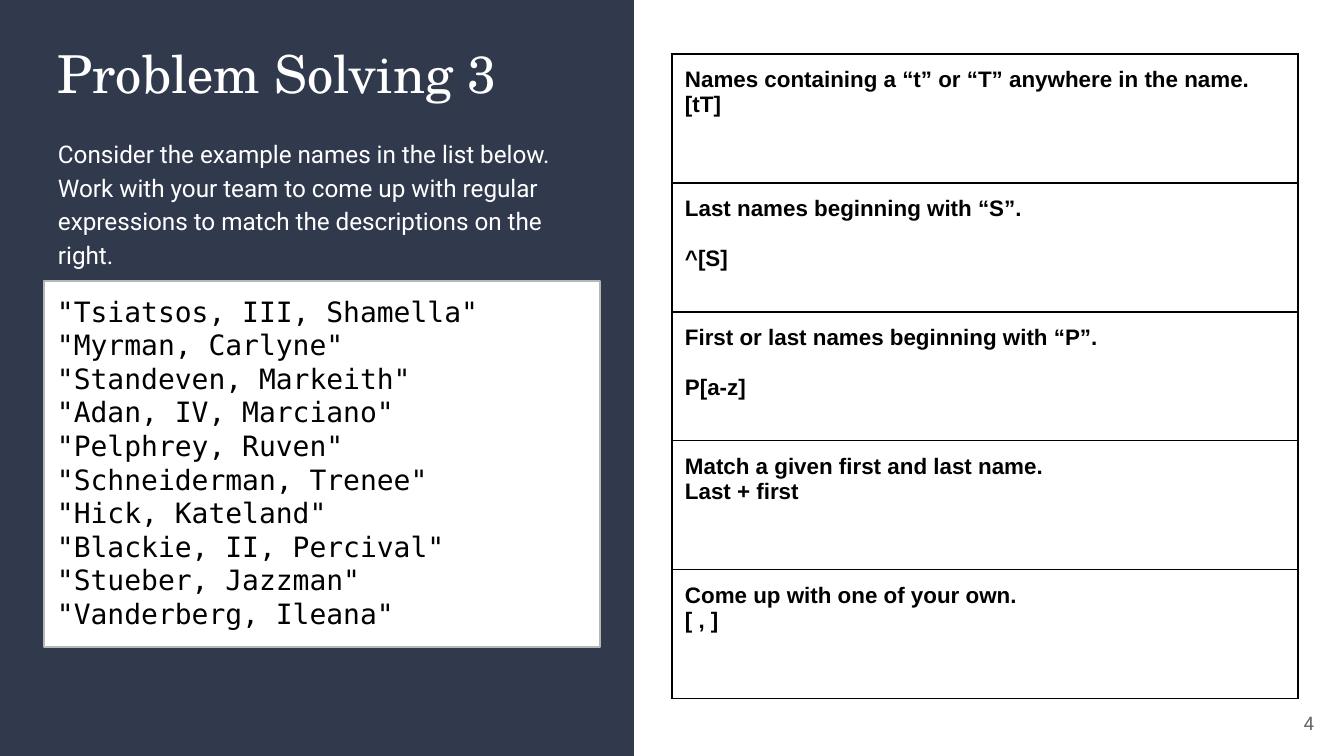
from lxml.etree import SubElement
from pptx import Presentation
from pptx.dml.color import RGBColor
from pptx.enum.shapes import MSO_SHAPE
from pptx.enum.text import MSO_ANCHOR, PP_ALIGN
from pptx.oxml.ns import qn
from pptx.util import Emu, Pt

EMU_PER_PX = 914400 / 134.4
INSET = 13
COLORS = {
    "navy": "31394D",
    "white": "FFFFFF",
    "black": "000000",
    "edge": "B7B7B7",
    "grey": "666666",
}
TITLE = {"name": "TeX Gyre Schola", "size": Pt(28), "color": "white"}
BODY = {"name": "Roboto", "size": Pt(13), "color": "white"}
CODE = {"name": "DejaVu Sans Mono", "size": Pt(15), "color": "black"}
TASK = {"name": "Arial", "size": Pt(12), "bold": True, "color": "black"}
NUMBER = {"name": "Roboto", "size": Pt(10), "color": "grey"}

INTRO = (
    "Consider the example names in the list below. Work with your team to come up "
    "with regular expressions to match the descriptions on the right."
)
NAMES = [
    "Tsiatsos, III, Shamella",
    "Myrman, Carlyne",
    "Standeven, Markeith",
    "Adan, IV, Marciano",
    "Pelphrey, Ruven",
    "Schneiderman, Trenee",
    "Hick, Kateland",
    "Blackie, II, Percival",
    "Stueber, Jazzman",
    "Vanderberg, Ileana",
]
# Description, answer, points of space between them
TASKS = [
    ("Names containing a “t” or “T” anywhere in the name.", "[tT]", 0),
    ("Last names beginning with “S”.", "^[S]", 13.4),
    ("First or last names beginning with “P”.", "P[a-z]", 13.4),
    ("Match a given first and last name.", "Last + first", 0),
    ("Come up with one of your own.", "[ , ]", 0),
]


def px(length):
    return Emu(round(length * EMU_PER_PX))


def color(name):
    return RGBColor.from_string(COLORS[name])


def set_insets(holder):
    for side in ("left", "top", "right", "bottom"):
        setattr(holder, f"margin_{side}", px(INSET))


def write_lines(frame, lines, text_format, **para_format):
    for index, line in enumerate(lines):
        para = frame.paragraphs[0] if index == 0 else frame.add_paragraph()
        for key, value in {"alignment": PP_ALIGN.LEFT, **para_format}.items():
            setattr(para, key, value)
        span = para.add_run()
        span.text = line
        for key, value in text_format.items():
            if key == "color":
                span.font.color.rgb = color(value)
            else:
                setattr(span.font, key, value)


def add_text(page, box, lines, text_format, anchor=MSO_ANCHOR.TOP, **para_format):
    frame = page.shapes.add_textbox(*map(px, box)).text_frame
    frame.word_wrap = True
    frame.vertical_anchor = anchor
    set_insets(frame)
    write_lines(frame, lines, text_format, **para_format)


def add_panel(page, box, fill, edge=None):
    panel = page.shapes.add_shape(MSO_SHAPE.RECTANGLE, *map(px, box))
    panel.shadow.inherit = False
    panel.fill.solid()
    panel.fill.fore_color.rgb = color(fill)
    if edge:
        panel.line.color.rgb = color(edge)
        panel.line.width = Pt(0.75)
    else:
        panel.line.fill.background()
    return panel


def add_name_list(page, box):
    frame = add_panel(page, box, "white", "edge").text_frame
    frame.word_wrap = True
    frame.vertical_anchor = MSO_ANCHOR.TOP
    set_insets(frame)
    write_lines(frame, [f'"{name}"' for name in NAMES], CODE)


def add_brief(page, box):
    left, top, width, height = box
    add_panel(page, box, "navy")
    text_left, text_width = left + 45, width - 90
    add_text(page, (text_left, top + 28, text_width, 94), ["Problem Solving 3"], TITLE)
    add_text(page, (text_left, top + 122, text_width, 144), [INTRO], BODY,
             line_spacing=1.15)
    add_name_list(page, (left + 44, top + 281, 556, 366))


def add_borders(cell):
    properties = cell._tc.get_or_add_tcPr()
    for side in ("lnL", "lnR", "lnT", "lnB"):
        line = SubElement(properties, qn(f"a:{side}"), w=str(Pt(0.75)))
        fill = SubElement(line, qn("a:solidFill"))
        SubElement(fill, qn("a:srgbClr"), val=COLORS["black"])


def add_task_table(page, box):
    table = page.shapes.add_table(len(TASKS), 1, *map(px, box)).table
    table.first_row = table.horz_banding = False
    for row, (description, answer, gap) in zip(table.rows, TASKS):
        row.height = px(box[3] / len(TASKS))
        cell = row.cells[0]
        set_insets(cell)
        add_borders(cell)
        cell.fill.background()
        write_lines(cell.text_frame, [description, answer], TASK)
        cell.text_frame.paragraphs[1].space_before = Pt(gap)


def main():
    deck = Presentation()
    deck.slide_width, deck.slide_height = px(1344), px(756)
    page = deck.slides.add_slide(deck.slide_layouts[6])

    # Left: instructions and example names
    add_brief(page, (0, 0, 634, 756))
    # Right: matching tasks
    add_task_table(page, (672, 54, 626, 645))
    # Page number
    add_text(page, (1246, 694, 81, 58), ["4"], NUMBER, MSO_ANCHOR.MIDDLE,
             alignment=PP_ALIGN.RIGHT)

    deck.save("out.pptx")


if __name__ == "__main__":
    main()
